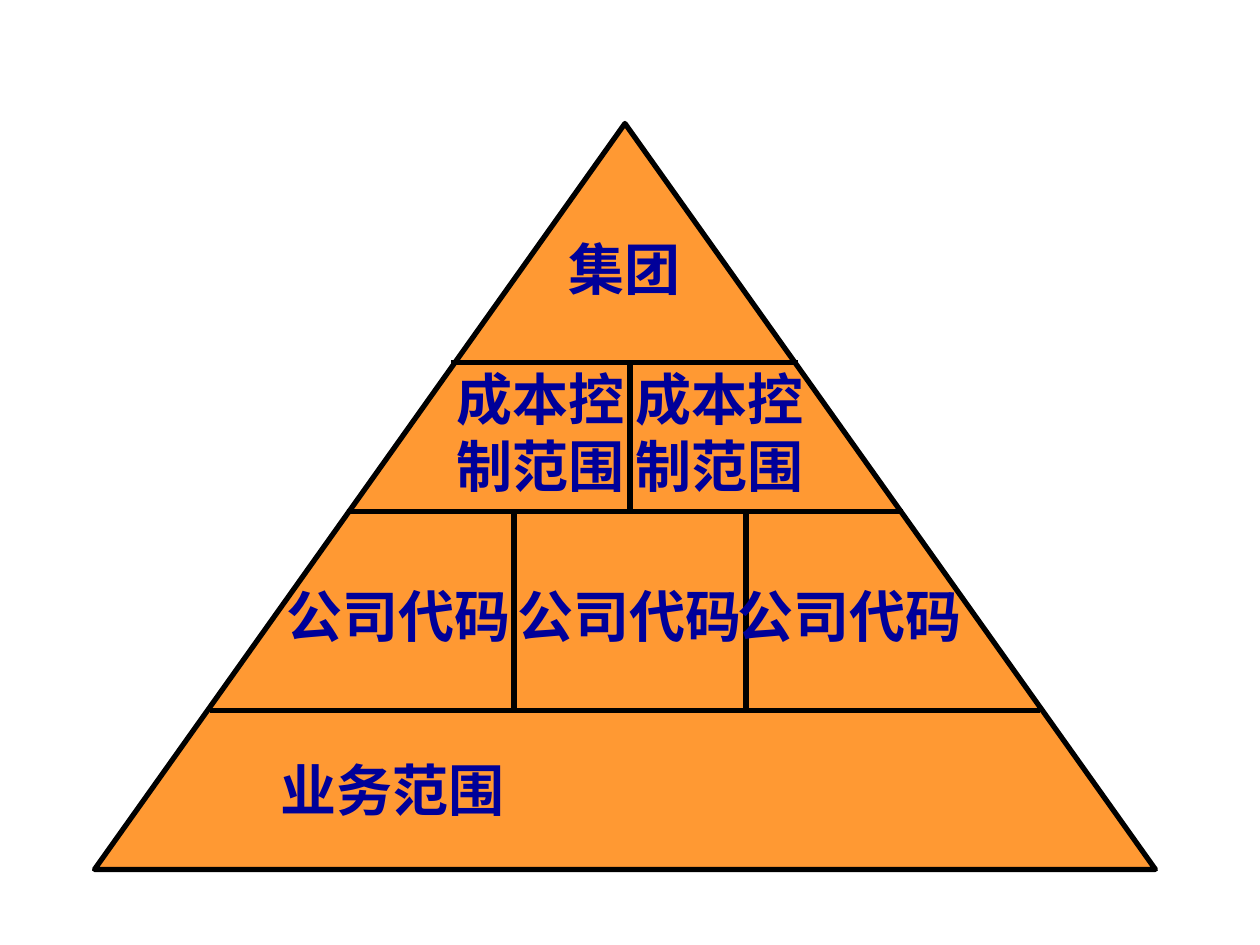
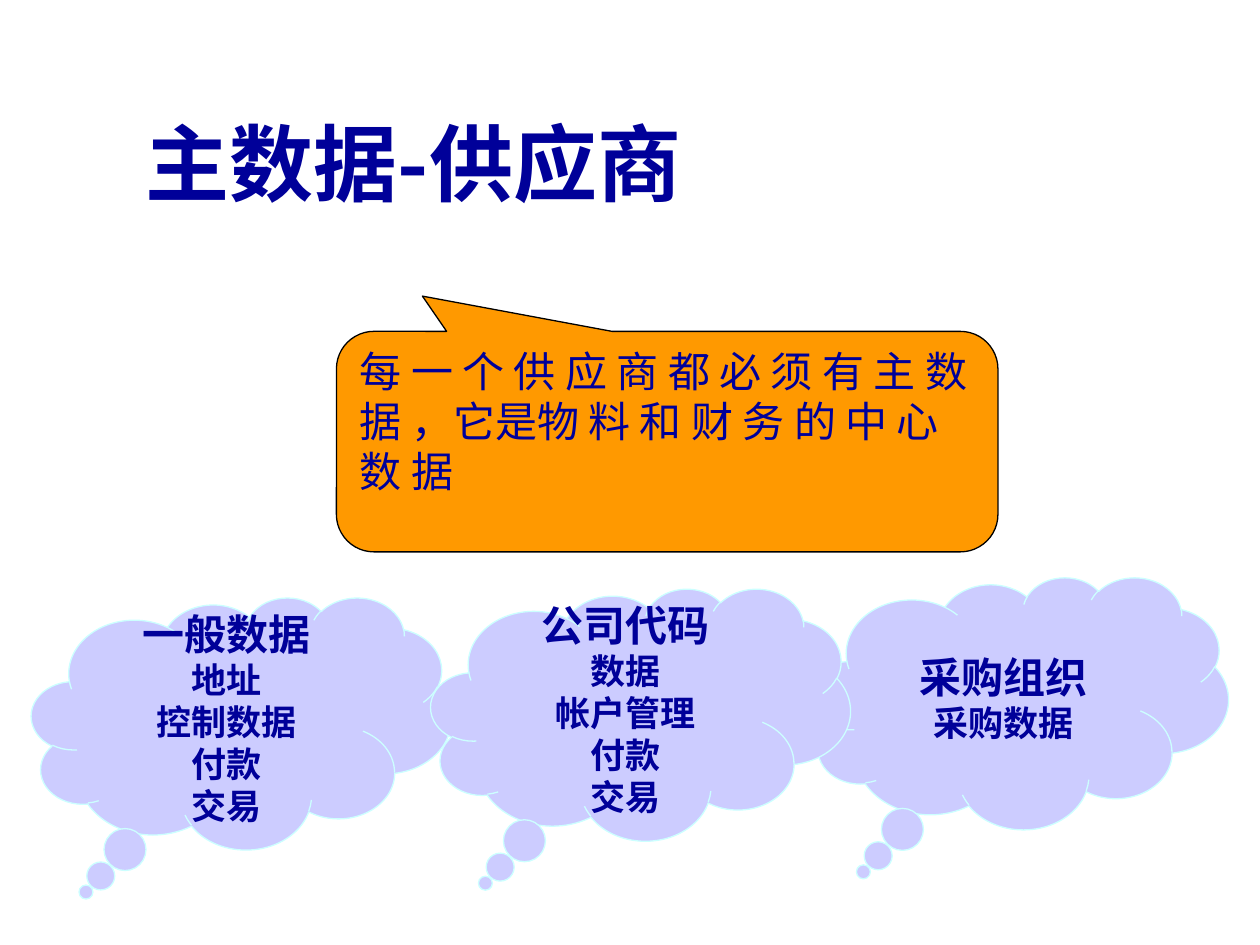
"""Build two slides: an organisation pyramid and the vendor master data."""
import pptx
import pptx.util
import pptx.dml.color
import pptx.enum.shapes
import pptx.enum.text
import pptx.oxml.ns
from lxml import etree

Inches = pptx.util.Inches
Pt = pptx.util.Pt
SHAPE = pptx.enum.shapes.MSO_SHAPE
ANCHOR = pptx.enum.text.MSO_ANCHOR
ALIGN = pptx.enum.text.PP_ALIGN
qn = pptx.oxml.ns.qn


class Deck:
    """Holds the shared style and the current slide."""

    FONT = "Noto Sans CJK SC"
    COLORS = {"ink": "000099", "line": "000000", "stone": "FF9933",
              "note": "FF9900", "cloud": "CCCCFF", "rim": "CCFFFF"}

    def __init__(self):
        self.prs = pptx.Presentation()
        self.prs.slide_width = Inches(10)
        self.prs.slide_height = Inches(7.5)
        self.slide = None

    def color(self, name):
        return pptx.dml.color.RGBColor.from_string(self.COLORS[name])

    def page(self):
        self.slide = self.prs.slides.add_slide(self.prs.slide_layouts[6])

    def words(self, frame, lines, align=ALIGN.CENTER, bold=True, wrap=False,
              anchor=ANCHOR.MIDDLE):
        frame.word_wrap = wrap
        frame.vertical_anchor = anchor
        for i, (text, size) in enumerate(lines):
            para = frame.add_paragraph() if i else frame.paragraphs[0]
            para.alignment = align
            run = para.add_run()
            run.text = text
            font = run.font
            font.size, font.bold, font.name = Pt(size), bold, self.FONT
            font.color.rgb = self.color("ink")
            east = etree.SubElement(run._r.get_or_add_rPr(), qn("a:ea"))
            east.set("typeface", self.FONT)

    def shape(self, kind, box, fill, line, width=0.75, adjust=()):
        item = self.slide.shapes.add_shape(kind, *map(Inches, box))
        item.shadow.inherit = False
        item.fill.solid()
        item.fill.fore_color.rgb = self.color(fill)
        item.line.color.rgb = self.color(line)
        item.line.width = Pt(width)
        for i, value in enumerate(adjust):
            item.adjustments[i] = value
        return item

    def rule(self, *ends):
        line = self.slide.shapes.add_connector(
            pptx.enum.shapes.MSO_CONNECTOR.STRAIGHT, *map(Inches, ends))
        line.line.color.rgb = self.color("line")
        line.line.width = Pt(3)
        etree.SubElement(line._element.spPr, qn("a:effectLst"))

    def label(self, box, *lines):
        item = self.shape(SHAPE.RECTANGLE, box, "stone", "stone")
        self.words(item.text_frame, [(line, 32) for line in lines])

    def title(self, text):
        box = self.slide.shapes.add_textbox(
            *map(Inches, (1.06, 0.84, 7.75, 1.4)))
        self.words(box.text_frame, [(text, 48)], ALIGN.LEFT, wrap=True,
                   anchor=ANCHOR.TOP)

    def note(self, text):
        item = self.shape(SHAPE.ROUNDED_RECTANGULAR_CALLOUT,
                          (2.67, 2.63, 5.25, 1.75), "note", "line",
                          adjust=(-0.37, -0.66, 0.17))
        item.text_frame.margin_bottom = Inches(0.38)
        self.words(item.text_frame, [(text, 24)], ALIGN.LEFT, False, True)

    def cloud(self, left, top, head, *items):
        item = self.shape(SHAPE.CLOUD_CALLOUT, (left, top, 3.33, 2),
                          "cloud", "rim", adjust=(-0.37, 0.67))
        self.words(item.text_frame,
                   [(head, 24)] + [(line, 20) for line in items])


def pyramid(deck):
    deck.page()
    deck.shape(SHAPE.ISOSCELES_TRIANGLE, (0.75, 0.98, 8.42, 5.92),
               "stone", "line", 3)
    top, mid, low = 2.88, 4.06, 5.64
    for left, right, y in ((3.58, 6.33, top), (2.75, 7.17, mid),
                           (1.67, 8.25, low)):
        deck.rule(left, y, right, y)
    for x, start, end in ((5, top, mid), (4.08, mid, low), (5.92, mid, low)):
        deck.rule(x, start, x, end)
    deck.label((4.58, 1.77, 0.75, 0.71), "集团")
    for x in (3.83, 5.25):
        deck.label((x, 3.11, 0.92, 0.63), "成本控", "制范围")
    for x in (2.5, 4.33, 6.08):
        deck.label((x, 4.61, 1.33, 0.55), "公司代码")
    deck.label((2.08, 5.95, 2.08, 0.63), "业务范围")


def vendor(deck):
    deck.page()
    deck.title("主数据-供应商")
    deck.note("每 一 个 供 应 商 都 必 须 有 主 数 据 ，"
              "它是物 料 和 财 务 的 中 心 数 据")
    deck.cloud(0.25, 4.74, "一般数据", "地址", "控制数据", "付款", "交易")
    deck.cloud(6.42, 4.58, "采购组织", "采购数据")
    deck.cloud(3.42, 4.67, "公司代码", "数据", "帐户管理", "付款", "交易")


def main():
    deck = Deck()
    pyramid(deck)
    vendor(deck)
    deck.prs.save("out.pptx")


if __name__ == "__main__":
    main()
